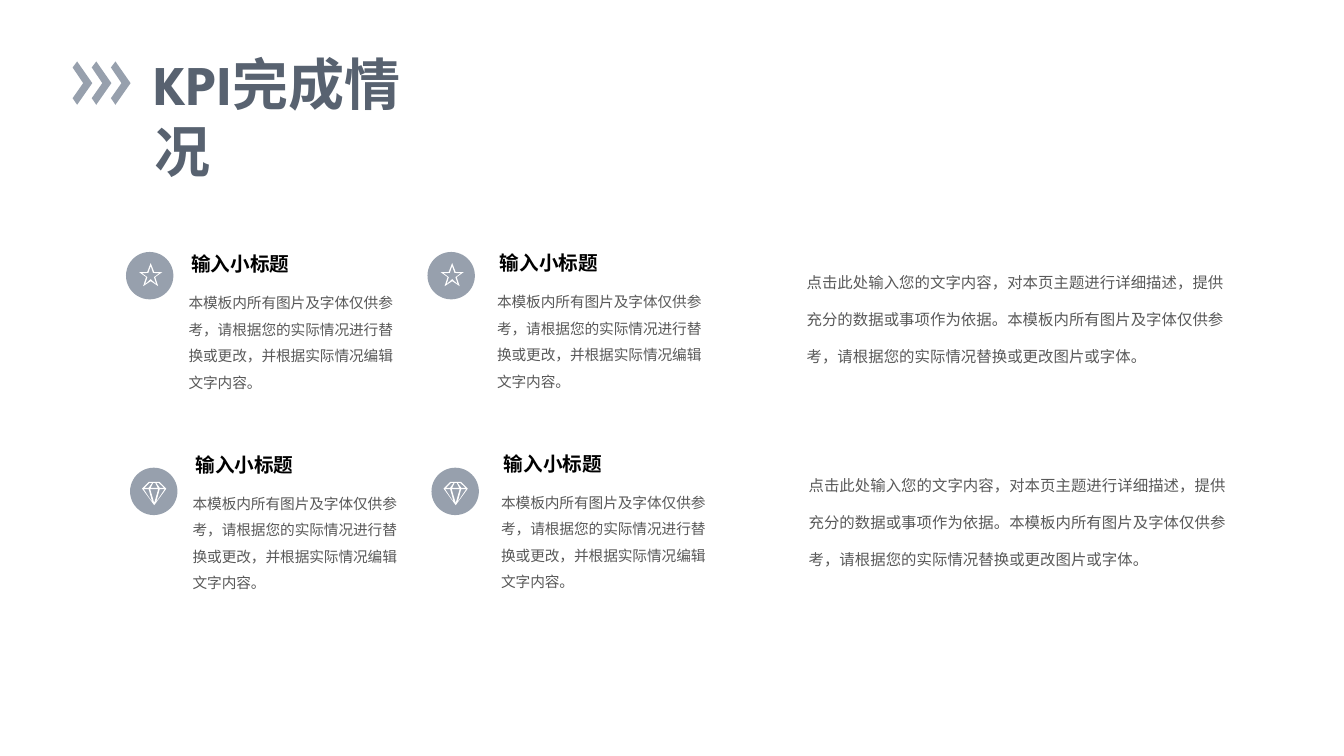
from dataclasses import dataclass

from pptx import Presentation
from pptx.dml.color import RGBColor
from pptx.enum.lang import MSO_LANGUAGE_ID
from pptx.enum.shapes import MSO_SHAPE
from pptx.enum.text import MSO_ANCHOR, MSO_AUTO_SIZE
from pptx.shapes.base import BaseShape
from pptx.shapes.shapetree import GroupShapes, SlideShapes
from pptx.util import Inches, Pt

OVAL = MSO_SHAPE.OVAL
TOP = MSO_ANCHOR.TOP
GROW = MSO_AUTO_SIZE.SHAPE_TO_FIT_TEXT
CHINESE = MSO_LANGUAGE_ID.SIMPLIFIED_CHINESE

FONT = "League Spartan"
SLATE, STEEL, GREY, BLACK, WHITE = "586270", "97A0AD", "595959", "000000", "FFFFFF"
UNITS_PER_INCH = 1000
BADGE = 0.47

TITLE = "KPI完成情况"
HEADING = "输入小标题"
BODY = "本模板内所有图片及字体仅供参考，请根据您的实际情况进行替换或更改，并根据实际情况编辑文字内容。"
DETAIL = (
    "点击此处输入您的文字内容，对本页主题进行详细描述，提供充分的数据或事项作为依据。"
    "本模板内所有图片及字体仅供参考，请根据您的实际情况替换或更改图片或字体。"
)

Contour = list[tuple[int, int]]

CHEVRON: list[Contour] = [[(0, 60), (45, 0), (195, 215), (45, 430), (0, 365), (105, 215)]]
STAR: list[Contour] = [
    [(130, 200), (210, 200), (245, 110), (280, 200), (360, 200),
     (290, 250), (320, 340), (245, 290), (170, 340), (200, 250)],
    [(300, 320), (245, 270), (190, 320), (212, 250), (160, 212),
     (222, 208), (245, 140), (268, 208), (330, 212), (278, 250)],
]
DIAMOND: list[Contour] = [
    [(120, 208), (187, 140), (293, 140), (360, 208), (240, 372)],
    [(260, 340), (295, 212), (345, 212)],
    [(240, 350), (200, 212), (280, 212)],
    [(220, 340), (185, 212), (135, 212)],
    [(195, 150), (220, 150), (185, 200), (143, 200)],
    [(230, 150), (250, 150), (275, 200), (205, 200)],
    [(285, 150), (260, 150), (295, 200), (337, 200)],
]


@dataclass(frozen=True)
class Grid:
    """A grid whose columns drop and whose rows shift by a constant step."""

    left: float
    top: float
    col_step: float = 0
    row_step: float = 0
    col_drop: float = 0
    row_shift: float = 0

    def cell(self, col: int, row: int) -> tuple[float, float]:
        """Return the left and top of a cell in inches."""
        return (
            self.left + col * self.col_step + row * self.row_shift,
            self.top + row * self.row_step + col * self.col_drop,
        )


@dataclass(frozen=True)
class TextStyle:
    """The look and box size of one kind of text."""

    width: float
    height: float
    size: float
    color: str
    bold: bool = False
    spacing: float = 1
    inset_x: float = 0.1
    inset_y: float = 0.05


BADGES = Grid(1.25, 2.5, 2.99, 2.14, row_shift=0.04)
HEADINGS = Grid(1.8, 2.45, 3.06, 1.99, -0.01, 0.04)
BODIES = Grid(1.8, 2.8, 3.06, 1.99, -0.01, 0.04)
DETAILS = Grid(7.93, 2.5, row_step=2.01, row_shift=0.02)
CHEVRONS = Grid(0.72, 0.61, 0.19)

TITLE_STYLE = TextStyle(3.15, 0.77, 40, SLATE, bold=True)
HEADING_STYLE = TextStyle(2.3, 0.34, 14, BLACK, bold=True)
BODY_STYLE = TextStyle(2.25, 1.1, 10.5, GREY, spacing=1.5, inset_x=0.07, inset_y=0.03)
DETAIL_STYLE = TextStyle(4.38, 1.12, 11, GREY, spacing=2, inset_x=0.07, inset_y=0.03)


def rgb(color: str) -> RGBColor:
    """Turn a hex string into a colour."""
    return RGBColor.from_string(color)


def paint(s: BaseShape, color: str) -> None:
    """Give a shape a flat fill without line or shadow."""
    s.shadow.inherit = False
    s.fill.solid()
    s.fill.fore_color.rgb = rgb(color)
    s.line.fill.background()


def add_outline(
    shapes: GroupShapes, contours: list[Contour], at: tuple[float, float], color: str
) -> None:
    """Draw contours as one freeform, with inner contours as holes."""
    builder = shapes.build_freeform(*contours[0][0], scale=Inches(1) / UNITS_PER_INCH)
    builder.add_line_segments(contours[0][1:])
    for start, *rest in contours[1:]:
        builder.move_to(*start)
        builder.add_line_segments(rest)
    paint(builder.convert_to_shape(*map(Inches, at)), color)


def add_badge(shapes: SlideShapes, icon: list[Contour], at: tuple[float, float]) -> None:
    """Draw a round badge holding a white icon."""
    group = shapes.add_group_shape().shapes
    s = group.add_shape(OVAL, *map(Inches, (*at, BADGE, BADGE)))
    paint(s, STEEL)
    add_outline(group, icon, at, WHITE)


def add_text(
    shapes: SlideShapes, text: str, at: tuple[float, float], style: TextStyle
) -> None:
    """Place one paragraph of text in the given style."""
    tf = shapes.add_textbox(*map(Inches, (*at, style.width, style.height))).text_frame
    tf.word_wrap = True
    tf.auto_size = GROW
    tf.vertical_anchor = TOP
    tf.margin_left = tf.margin_right = Inches(style.inset_x)
    tf.margin_top = tf.margin_bottom = Inches(style.inset_y)
    p = tf.paragraphs[0]
    p.text = text
    p.line_spacing = style.spacing
    p.font.name = FONT
    p.font.size = Pt(style.size)
    p.font.bold = style.bold
    p.font.color.rgb = rgb(style.color)
    p.font.language_id = CHINESE


def main() -> None:
    """Build the slide and save it."""
    prs = Presentation()
    prs.slide_width, prs.slide_height = Inches(13.33), Inches(7.5)
    shapes = prs.slides.add_slide(prs.slide_layouts[6]).shapes

    for row, icon in enumerate((STAR, DIAMOND)):
        for col in range(2):
            add_badge(shapes, icon, BADGES.cell(col, row))
            add_text(shapes, BODY, BODIES.cell(col, row), BODY_STYLE)
            add_text(shapes, HEADING, HEADINGS.cell(col, row), HEADING_STYLE)
        add_text(shapes, DETAIL, DETAILS.cell(0, row), DETAIL_STYLE)

    chevrons = shapes.add_group_shape().shapes
    for col in range(3):
        add_outline(chevrons, CHEVRON, CHEVRONS.cell(col, 0), STEEL)
    add_text(shapes, TITLE, (1.43, 0.44), TITLE_STYLE)

    prs.save("out.pptx")


if __name__ == "__main__":
    main()
